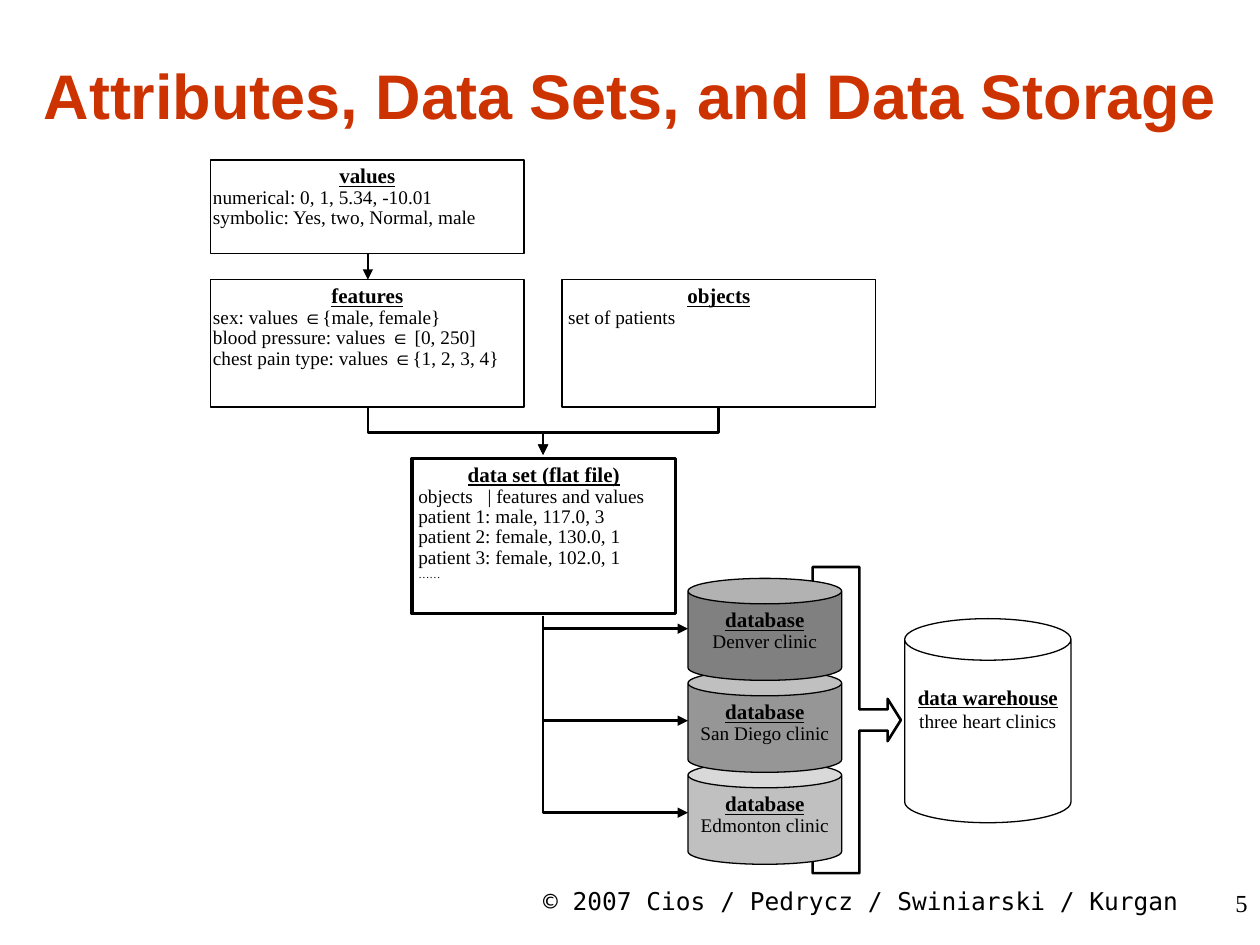
from dataclasses import dataclass

from lxml.etree import SubElement
from pptx import Presentation
from pptx.dml.color import RGBColor
from pptx.enum.shapes import MSO_CONNECTOR as Link, MSO_SHAPE as Shape
from pptx.enum.text import MSO_ANCHOR as Anchor, PP_ALIGN as Align
from pptx.oxml.ns import qn
from pptx.util import Inches, Pt


@dataclass(frozen=True)
class Theme:
    ink: str = "000000"
    paper: str = "FFFFFF"
    accent: str = "CC3300"
    clinic_greys: tuple = ("808080", "969696", "C0C0C0")
    serif: str = "Times New Roman"
    sans: str = "Arial"
    mono: str = "DejaVu Sans Mono"
    title_size: float = 36
    footer_size: float = 14
    heading_size: float = 12
    body_size: float = 11
    thin: float = 0.75
    medium: float = 1.5
    thick: float = 2
    tight: float = 0.88


class Diagram:
    """Draws the parts of a data storage diagram on one slide."""

    def __init__(self, slide, theme):
        self.slide = slide
        self.theme = theme

    def style(self, paragraph, size, font, color, align, bold=False, underline=False):
        paragraph.alignment = align
        paragraph.font.size = Pt(size)
        paragraph.font.name = font
        paragraph.font.color.rgb = RGBColor.from_string(color)
        paragraph.font.bold = bold
        paragraph.font.underline = underline

    def inset(self, frame, left, top, right, bottom):
        frame.margin_left, frame.margin_top = Inches(left), Inches(top)
        frame.margin_right, frame.margin_bottom = Inches(right), Inches(bottom)
        frame.word_wrap = True

    def label(self, text, place, size, font, color=None, align=Align.CENTER,
              anchor=Anchor.TOP, bold=False):
        frame = self.slide.shapes.add_textbox(*map(Inches, place)).text_frame
        self.inset(frame, 0.1, 0.05, 0.1, 0.05)
        frame.vertical_anchor = anchor
        paragraph = frame.paragraphs[0]
        paragraph.add_run().text = text
        self.style(paragraph, size, font, color or self.theme.ink, align, bold)

    def block(self, kind, place, fill=None, width=None, adjustments=()):
        block = self.slide.shapes.add_shape(kind, *map(Inches, place))
        block.shadow.inherit = False
        for index, value in enumerate(adjustments):
            block.adjustments[index] = value
        if fill:
            block.fill.solid()
            block.fill.fore_color.rgb = RGBColor.from_string(fill)
        else:
            block.fill.background()
        block.line.color.rgb = RGBColor.from_string(self.theme.ink)
        block.line.width = Pt(width or self.theme.thin)
        return block

    def caption(self, block, heading, lines, side, top=0.05, bottom=0.05,
                align=Align.LEFT, spacing=None, tab=None):
        theme, frame = self.theme, block.text_frame
        self.inset(frame, side, top, side, bottom)
        frame.vertical_anchor = Anchor.TOP
        for index, line in enumerate([heading, *lines]):
            paragraph = frame.paragraphs[0] if index == 0 else frame.add_paragraph()
            paragraph.line_spacing = spacing or theme.tight
            if "\t" in line:
                stops = SubElement(paragraph._p.get_or_add_pPr(), qn("a:tabLst"))
                SubElement(stops, qn("a:tab"), pos=str(Inches(tab)), algn="l")
            for piece in line.replace("∈", "|∈|").split("|") if "∈" in line else [line]:
                run = paragraph.add_run()
                run.text = piece
                if piece == "∈":
                    run.font.name = theme.sans
                if piece == "……":
                    run.font._element.set("baseline", "30000")
            if index == 0:
                self.style(paragraph, theme.heading_size, theme.serif, theme.ink,
                           Align.CENTER, True, True)
            else:
                self.style(paragraph, theme.body_size, theme.serif, theme.ink, align)

    def box(self, place, heading, lines, side=0.02, bottom=0.05, width=None, tab=None):
        self.caption(self.block(Shape.RECTANGLE, place, width=width),
                     heading, lines, side, bottom=bottom, tab=tab)

    def can(self, place, fill, heading, lines, **text):
        self.caption(self.block(Shape.CAN, place, fill, adjustments=[0.25]),
                     heading, lines, align=Align.CENTER, **text)

    def arrow(self, start, end, kind=Link.STRAIGHT):
        link = self.slide.shapes.add_connector(kind, *map(Inches, (*start, *end)))
        link.line.color.rgb = RGBColor.from_string(self.theme.ink)
        link.line.width = Pt(self.theme.medium)
        SubElement(link.line._get_or_add_ln(), qn("a:tailEnd"), type="triangle")
        SubElement(link._element.spPr, qn("a:effectLst"))
        return link

    def drop_arrow(self, start, end, bend=None):
        (x1, y1), (x2, y2) = start, end
        across, down = abs(x2 - x1), y2 - y1
        link = self.arrow(start, end, Link.ELBOW)
        link.left, link.top = Inches((x1 + x2 - down) / 2), Inches((y1 + y2 - across) / 2)
        link.width, link.height = Inches(down), Inches(across)
        frame = link._element.spPr.find(qn("a:xfrm"))
        frame.set("rot", str((270 if x2 > x1 else 90) * 60000))
        frame.set("flipH", "1" if x2 > x1 else "0")
        outline = link._element.spPr.find(qn("a:prstGeom"))
        if bend is None:
            outline.set("prst", "bentConnector2")
        else:
            SubElement(outline.find(qn("a:avLst")), qn("a:gd"),
                       name="adj1", fmla=f"val {round(bend * 100000)}")


def main():
    deck = Presentation()
    deck.slide_width, deck.slide_height = Inches(10), Inches(7.5)
    theme = Theme()
    diagram = Diagram(deck.slides.add_slide(deck.slide_layouts[6]), theme)

    diagram.label("© 2007 Cios / Pedrycz / Swiniarski / Kurgan", (4, 6.98, 5.67, 0.52),
                  theme.footer_size, theme.mono)
    diagram.label("Attributes, Data Sets, and Data Storage", (0, 0.25, 10, 1),
                  theme.title_size, theme.sans, theme.accent,
                  anchor=Anchor.MIDDLE, bold=True)
    diagram.label("5", (7.92, 7, 2.08, 0.5), theme.footer_size, theme.serif,
                  align=Align.RIGHT)

    diagram.block(Shape.RIGHT_ARROW_CALLOUT, (6.45, 4.5, 0.7, 2.43), theme.paper,
                  theme.medium, (0.24, 0.24, 0.15, 0.53))
    diagram.box((1.67, 1.27, 2.49, 0.74), "values",
                ["numerical: 0, 1, 5.34, -10.01", "symbolic: Yes, two, Normal, male"])
    diagram.box((1.67, 2.22, 2.49, 1.01), "features",
                ["sex: values ∈{male, female}",
                 "blood pressure: values ∈ [0, 250]",
                 "chest pain type: values ∈{1, 2, 3, 4}"])
    diagram.box((4.46, 2.22, 2.49, 1.01), "objects", ["set of patients"], side=0.05)
    diagram.box((3.27, 3.64, 2.09, 1.23), "data set (flat file)",
                ["objects\t| features and values",
                 "patient 1: male, 117.0, 3",
                 "patient 2: female, 130.0, 1",
                 "patient 3: female, 102.0, 1",
                 "……"],
                side=0.05, bottom=0, width=theme.thick, tab=0.55)

    diagram.arrow((2.92, 2.01), (2.92, 2.22))
    for source in (2.92, 5.7):
        diagram.drop_arrow((source, 3.23), (4.31, 3.61), bend=0.53)

    clinics = list(zip(("Denver", "San Diego", "Edmonton"), theme.clinic_greys))
    for row, (city, grey) in reversed(list(enumerate(clinics))):
        top = 4.59 + 0.73 * row
        diagram.can((5.46, top, 1.22, 0.81), grey, "database", [f"{city} clinic"],
                    side=0.02, bottom=0)
        diagram.drop_arrow((4.31, 4.89), (5.46, top + 0.4))
    diagram.can((7.18, 4.91, 1.32, 1.62), theme.paper, "data warehouse",
                ["three heart clinics"], side=0.1, top=0.19, spacing=1.0)

    deck.save("out.pptx")


if __name__ == "__main__":
    main()
